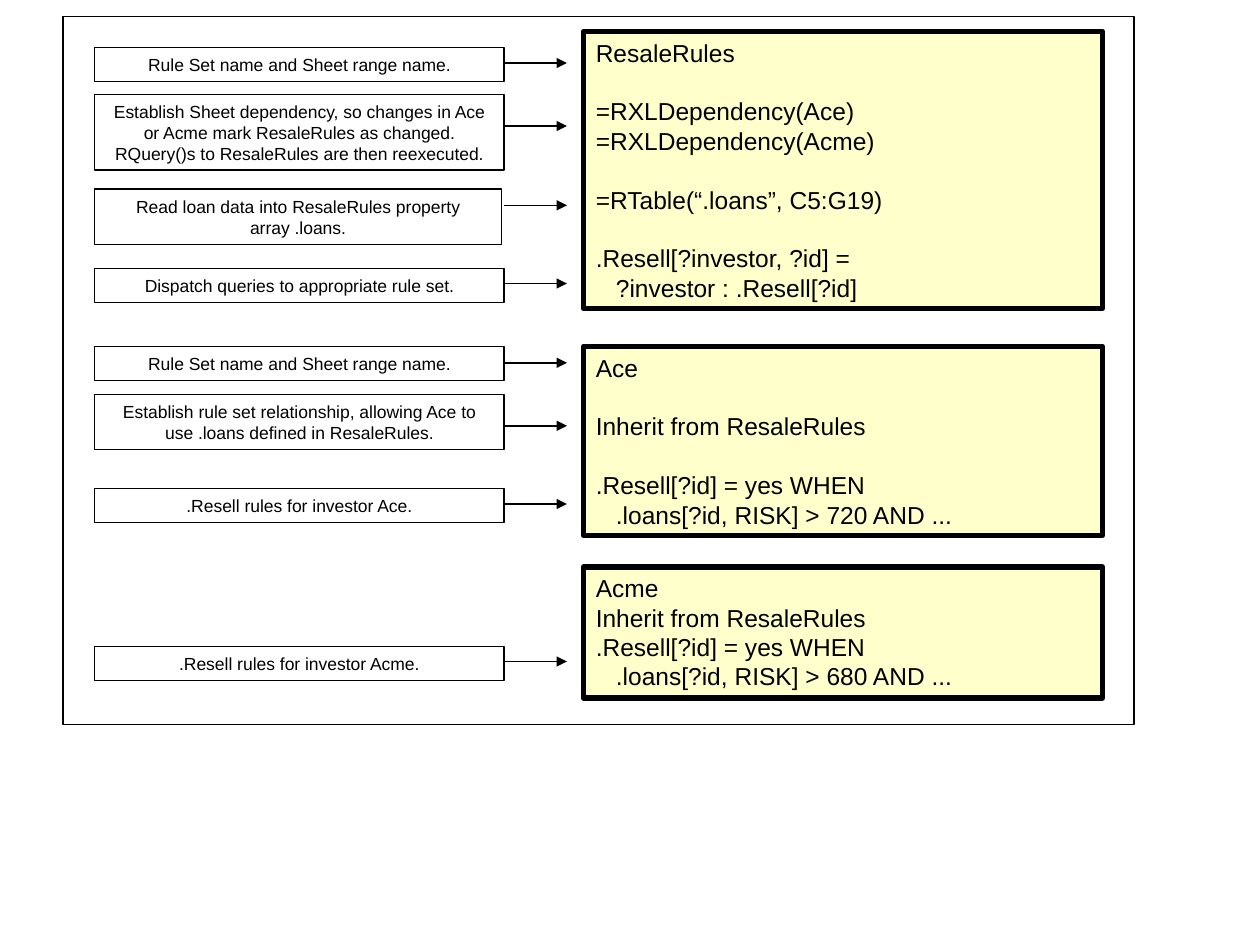
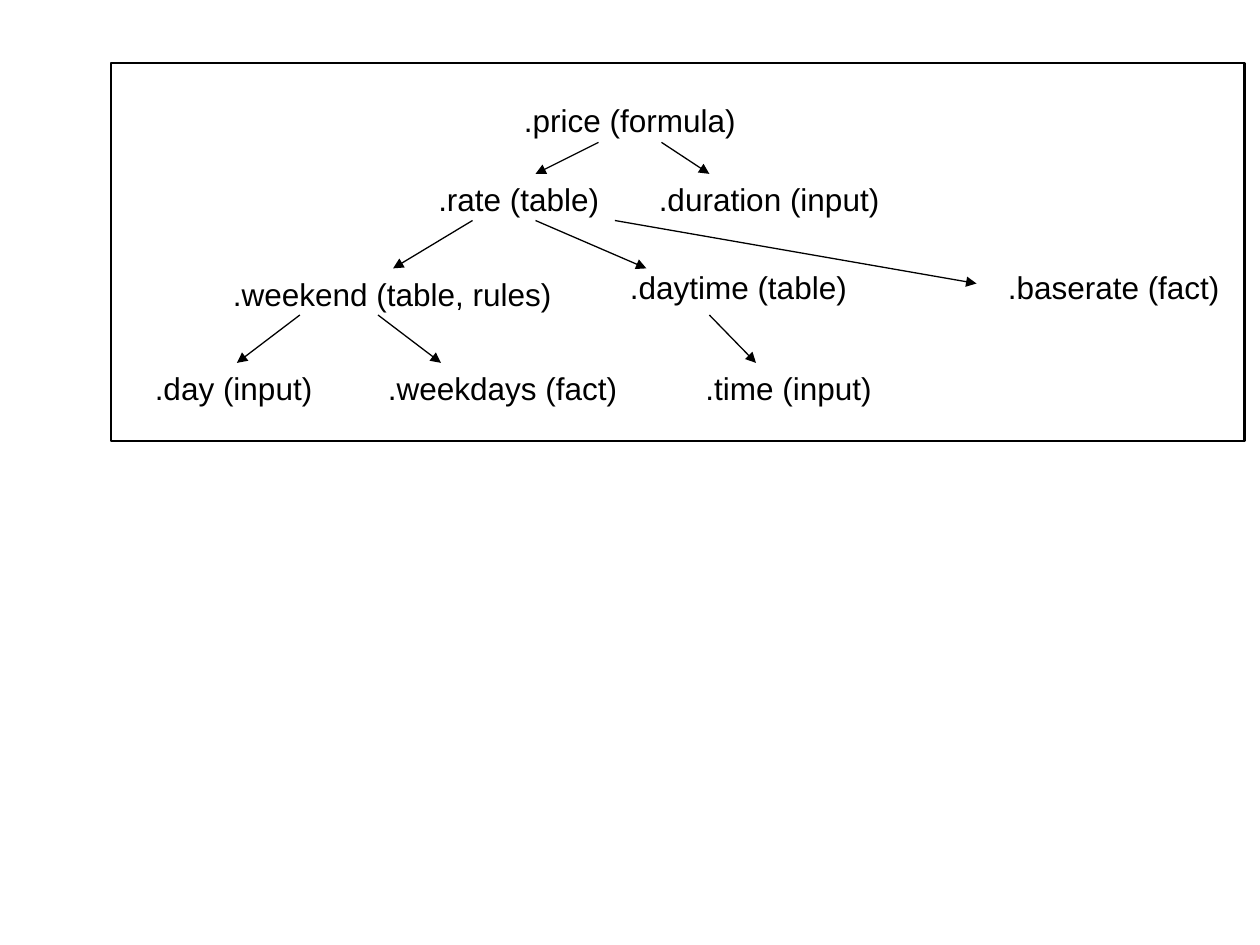
from lxml.etree import SubElement
from pptx import Presentation
from pptx.dml.color import RGBColor
from pptx.enum.shapes import MSO_CONNECTOR, MSO_SHAPE
from pptx.enum.text import MSO_ANCHOR, MSO_AUTO_SIZE, PP_ALIGN
from pptx.oxml.ns import qn
from pptx.util import Inches, Pt

COLORS = {"ink": "000000", "code": "FFFFCC"}
FONT = "Arial"
GAP = "gap"  # the next line of code follows one line's height lower


class Diagram:
    """Holds the deck's style and the page being drawn."""

    def __init__(self, deck):
        self.deck = deck
        self.page = None

    def new_page(self):
        self.page = self.deck.slides.add_slide(self.deck.slide_layouts[6])

    def color(self, name):
        return RGBColor.from_string(COLORS[name])

    def stroke(self, line, width):
        line.color.rgb = self.color("ink")
        line.width = Pt(width)

    def style(self, para, size, align=PP_ALIGN.LEFT):
        para.alignment = align
        for span in para.runs:
            span.font.size = Pt(size)
            span.font.name = FONT
            span.font.color.rgb = self.color("ink")

    def rectangle(self, left, top, width, height, weight, fill=None):
        box = self.page.shapes.add_shape(
            MSO_SHAPE.RECTANGLE, Inches(left), Inches(top), Inches(width), Inches(height))
        box.shadow.inherit = False
        self.stroke(box.line, weight)
        if fill:
            box.fill.solid()
            box.fill.fore_color.rgb = self.color(fill)
        else:
            box.fill.background()
        box.text_frame.word_wrap = True
        return box

    def note(self, top, height, text, width=3.25):
        frame = self.rectangle(0.75, top, width, height, 0.75).text_frame
        frame.text = text
        frame.vertical_anchor = MSO_ANCHOR.MIDDLE
        frame.auto_size = MSO_AUTO_SIZE.SHAPE_TO_FIT_TEXT
        self.style(frame.paragraphs[0], 10, PP_ALIGN.CENTER)

    def code(self, top, height, lines):
        frame = self.rectangle(4.63, top, 4.12, height, 3, "code").text_frame
        frame.vertical_anchor = MSO_ANCHOR.TOP
        frame.auto_size = MSO_AUTO_SIZE.SHAPE_TO_FIT_TEXT
        para, gap = None, False
        for line in lines:
            if line == GAP:
                gap = True
                continue
            para = frame.add_paragraph() if para else frame.paragraphs[0]
            para.text = line
            self.style(para, 14)
            if gap:
                para.space_before = Pt(16.75)
            gap = False
            # Continued lines hang under the first one
            for line_break in para._p.findall(qn("a:br")):
                SubElement(line_break, qn("a:rPr"), sz="1400")
                properties = para._p.get_or_add_pPr()
                properties.set("marL", str(Inches(0.16)))
                properties.set("indent", str(Inches(-0.16)))

    def label(self, left, top, width, text):
        box = self.page.shapes.add_textbox(
            Inches(left), Inches(top), Inches(width), Inches(0.4))
        frame = box.text_frame
        frame.text = text
        frame.word_wrap = False
        frame.auto_size = MSO_AUTO_SIZE.SHAPE_TO_FIT_TEXT
        self.style(frame.paragraphs[0], 18)

    def arrow(self, x1, y1, x2, y2):
        arrow = self.page.shapes.add_connector(
            MSO_CONNECTOR.STRAIGHT, Inches(x1), Inches(y1), Inches(x2), Inches(y2))
        self.stroke(arrow.line, 0.75)
        SubElement(arrow.line._get_or_add_ln(), qn("a:tailEnd"), type="triangle")
        SubElement(arrow._element.spPr, qn("a:effectLst"))


def draw_rule_sets(diagram):
    diagram.new_page()

    # Rule sets
    diagram.code(0.25, 2.2, [
        "ResaleRules", GAP, "=RXLDependency(Ace)", "=RXLDependency(Acme)", GAP,
        "=RTable(“.loans”, C5:G19)", GAP,
        ".Resell[?investor, ?id] =\v?investor : .Resell[?id]"])
    diagram.code(2.75, 1.5, [
        "Ace", GAP, "Inherit from ResaleRules", GAP,
        ".Resell[?id] = yes WHEN\v.loans[?id, RISK] > 720 AND ..."])
    diagram.code(4.5, 1.04, [
        "Acme", "Inherit from ResaleRules",
        ".Resell[?id] = yes WHEN\v.loans[?id, RISK] > 680 AND ..."])

    # Explanations
    naming = "Rule Set name and Sheet range name."
    diagram.note(0.38, 0.27, naming)
    diagram.note(0.75, 0.6, "Establish Sheet dependency, so changes in Ace or Acme mark "
                 "ResaleRules as changed. RQuery()s to ResaleRules are then reexecuted.")
    diagram.note(1.5, 0.44, "Read loan data into ResaleRules property array .loans.", 3.23)
    diagram.note(2.13, 0.27, "Dispatch queries to appropriate rule set.")
    diagram.note(2.75, 0.27, naming)
    diagram.note(3.13, 0.44, "Establish rule set relationship, allowing Ace to use .loans "
                 "defined in ResaleRules.")
    diagram.note(3.88, 0.27, ".Resell rules for investor Ace.")
    diagram.note(5.13, 0.27, ".Resell rules for investor Acme.")

    # Arrows from explanations to code
    for y in (0.5, 1, 1.63, 2.25, 2.88, 3.38, 4, 5.25):
        diagram.arrow(4, y, 4.5, y)

    diagram.rectangle(0.5, 0.13, 8.5, 5.62, 0.75)


def draw_price_tree(diagram):
    diagram.new_page()

    # Properties: left, top, width, text
    for node in (
        (4.06, 0.75, 1.88, ".price (formula)"),
        (3.38, 1.38, 1.48, ".rate (table)"),
        (5.13, 1.38, 1.95, ".duration (input)"),
        (1.75, 2.13, 2.73, ".weekend (table, rules)"),
        (4.9, 2.08, 1.92, ".daytime (table)"),
        (7.9, 2.08, 1.88, ".baserate (fact)"),
        (1.13, 2.88, 1.45, ".day (input)"),
        (2.98, 2.88, 2.02, ".weekdays (fact)"),
        (5.5, 2.88, 1.52, ".time (input)"),
    ):
        diagram.label(*node)

    # Dependencies, level by level
    for branch in (
        (4.75, 1.13, 4.25, 1.38), (5.25, 1.13, 5.63, 1.38),
        (3.75, 1.75, 3.12, 2.13), (4.25, 1.75, 5.13, 2.13), (4.88, 1.75, 7.75, 2.25),
        (2.38, 2.5, 1.88, 2.88), (3, 2.5, 3.5, 2.88), (5.63, 2.5, 6, 2.88),
    ):
        diagram.arrow(*branch)

    diagram.rectangle(0.88, 0.5, 9, 3, 1.5)


def main():
    deck = Presentation()
    deck.slide_width, deck.slide_height = Inches(10), Inches(7.5)
    diagram = Diagram(deck)
    draw_rule_sets(diagram)
    draw_price_tree(diagram)
    deck.save("out.pptx")


if __name__ == "__main__":
    main()
